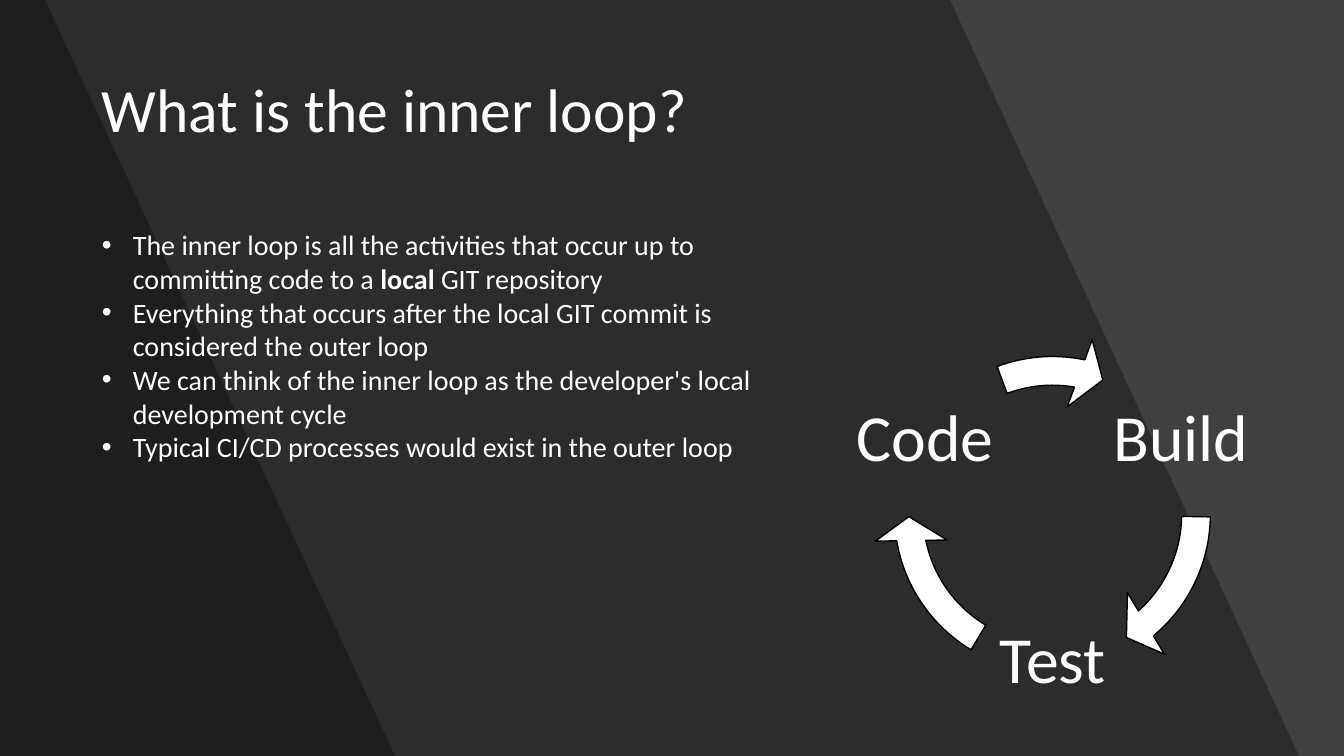
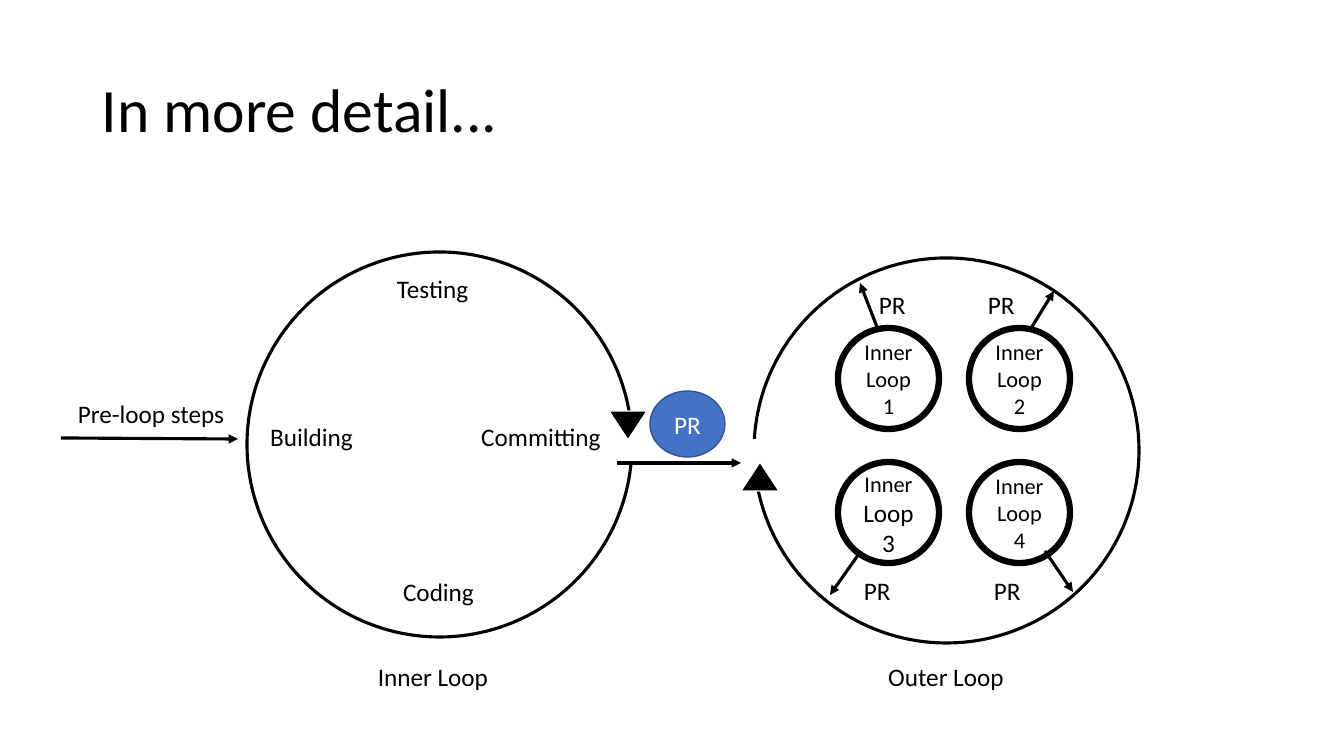
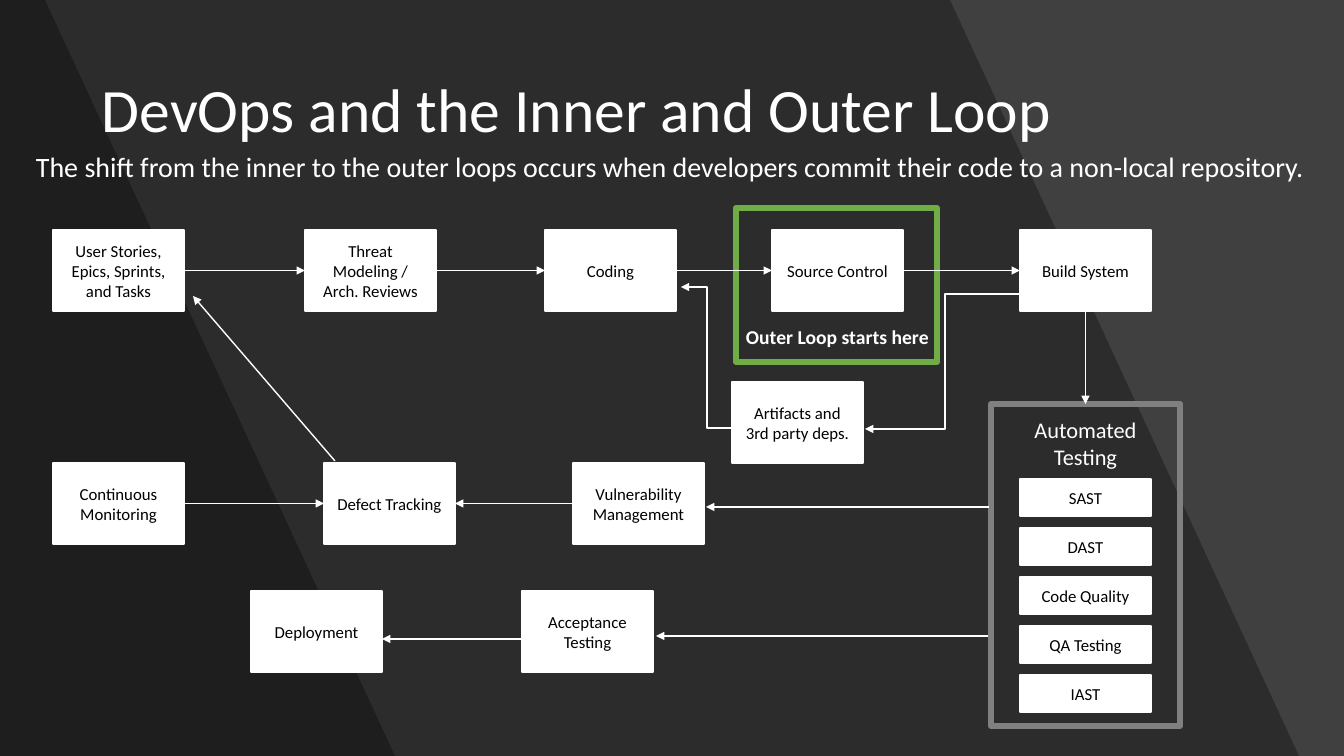
from lxml import etree
from pptx import Presentation
from pptx import util as u
from pptx.dml.color import RGBColor
from pptx.enum import shapes, text
from pptx.oxml import ns

WHITE = RGBColor(0xFF, 0xFF, 0xFF)
BLACK = RGBColor(0, 0, 0)
DARK = RGBColor(0x40, 0x40, 0x40)
GRAY = RGBColor(0x80, 0x80, 0x80)
GREEN = RGBColor(0x70, 0xAD, 0x47)
BLUE = RGBColor(0x44, 0x72, 0xC4)
NAVY = RGBColor(0x32, 0x54, 0x91)

FONT = "Calibri"
WIDE, HIGH = 1344, 756
SCALE = 12192000 / WIDE
KIND = shapes.MSO_SHAPE
LINK = shapes.MSO_CONNECTOR
MID = text.MSO_ANCHOR.MIDDLE
LEFT, CENTER = text.PP_ALIGN.LEFT, text.PP_ALIGN.CENTER
TOP_SIDE, LEFT_SIDE, BOTTOM_SIDE, RIGHT_SIDE = range(4)


def px(*nums):
    return [u.Emu(round(n * SCALE)) for n in nums]


def add_xml(parent, tag, **attrs):
    return etree.SubElement(parent, ns.qn(tag), attrs)


def style(para, size, color, align=LEFT, bold=None, gap=None):
    para.alignment = align
    if gap:
        para.line_spacing = gap
    font = para.font
    font.name, font.size, font.bold = FONT, u.Pt(size), bold
    font.color.rgb = color


def label(slide, box, words, size=18, color=BLACK, align=CENTER,
          bold=None, gap=None, anchor=text.MSO_ANCHOR.TOP):
    frame = slide.shapes.add_textbox(*px(*box)).text_frame
    frame.word_wrap = True
    frame.vertical_anchor = anchor
    frame.text = words
    style(frame.paragraphs[0], size, color, align, bold, gap)
    return frame


def bullets(slide, box, items, size, color):
    """Write a bulleted list; words between bars are bold."""
    frame = label(slide, box, "")
    for i, item in enumerate(items):
        para = frame.add_paragraph() if i else frame.paragraphs[0]
        for j, part in enumerate(item.split("|")):
            run = para.add_run()
            run.text = part
            if j % 2:
                run.font.bold = True
        prop = para._p.get_or_add_pPr()
        for old in list(prop):
            prop.remove(old)
        indent = px(31)[0]
        prop.set("marL", str(indent))
        prop.set("indent", str(-indent))
        add_xml(prop, "a:buFont", typeface="Arial")
        add_xml(prop, "a:buChar", char="•")
        style(para, size, color)


def figure(slide, kind, box, fill=None, line=WHITE, width=1.0):
    shape = slide.shapes.add_shape(kind, *px(*box))
    shape.shadow.inherit = False
    if fill is None:
        shape.fill.background()
    else:
        shape.fill.solid()
        shape.fill.fore_color.rgb = fill
    shape.line.color.rgb = line
    shape.line.width = u.Pt(width)
    return shape


def write(shape, words, size, color=BLACK):
    frame = shape.text_frame
    frame.text = words
    frame.vertical_anchor = MID
    style(frame.paragraphs[0], size, color, CENTER)


def node(slide, x, y, words, w=131, h=81):
    shape = figure(slide, KIND.RECTANGLE, (x, y, w, h), WHITE)
    write(shape, words, 12)
    return shape


def arrow(slide, start, end, color, width, kind=LINK.STRAIGHT):
    line = slide.shapes.add_connector(kind, *px(*start, *end))
    line.line.color.rgb = color
    line.line.width = u.Pt(width)
    add_xml(line.line._get_or_add_ln(), "a:tailEnd", type="triangle")
    add_xml(line._element.spPr, "a:effectLst")
    return line


def join(slide, first, side, last, end):
    line = arrow(slide, (0, 0), (0, 0), WHITE, 1)
    line.begin_connect(first, side)
    line.end_connect(last, end)


def band(slide, top, foot):
    """Draw a slanted shade from the left edge, given its right ends."""
    maker = slide.shapes.build_freeform(0, 0, SCALE)
    maker.add_line_segments([(top, 0), (foot, HIGH), (0, HIGH)])
    shape = maker.convert_to_shape()
    shape.shadow.inherit = False
    shape.fill.solid()
    shape.fill.fore_color.rgb = BLACK
    tint = shape._element.spPr.find(".//" + ns.qn("a:srgbClr"))
    add_xml(tint, "a:alpha", val="30000")
    shape.line.fill.background()


def start(deck, title, dark):
    slide = deck.slides.add_slide(deck.slide_layouts[6])
    fill = slide.background.fill
    fill.solid()
    fill.fore_color.rgb = DARK if dark else WHITE
    if dark:
        band(slide, 950, 1299)
        band(slide, 45, 395)
    label(slide, (92, 40, 1160, 146), title, 44, WHITE if dark else BLACK,
          LEFT, gap=0.9, anchor=MID)
    return slide


def intro(deck):
    slide = start(deck, "What is the inner loop?", True)
    bullets(slide, (92, 223, 709, 458), [
        "The inner loop is all the activities that occur up to committing "
        "code to a |local |GIT repository",
        "Everything that occurs after the local GIT commit is considered "
        "the outer loop",
        "We can think of the inner loop as the developer's local "
        "development cycle",
        "Typical CI/CD processes would exist in the outer loop",
    ], 20, WHITE)
    for words, x, y, head, tail in [
        ("Build", 1105, 364, 29.62, 0.53),
        ("Test", 977, 586, 101.7, 72.62),
        ("Code", 849, 364, 168.55, 149.69),
    ]:
        frame = label(slide, (x, y, 152, 152), words, 47, WHITE,
                      gap=0.9, anchor=MID)
        frame.margin_left = frame.margin_right = px(7)[0]
        frame.margin_top = frame.margin_bottom = px(7)[0]
        turn = figure(slide, KIND.CIRCULAR_ARROW, (873, 335, 359, 359),
                      WHITE, BLACK)
        for i, value in enumerate((0.08, 5.77, head, tail, 0.1)):
            turn.adjustments[i] = value


def ring(slide, x, y, gate, tip, turn):
    """Draw a big loop with a gap and an arrowhead at the gap."""
    figure(slide, KIND.OVAL, (x, y, 385, 385), None, BLACK, 2.25)
    figure(slide, KIND.RECTANGLE, gate, WHITE)
    head = figure(slide, KIND.ISOSCELES_TRIANGLE, (*tip, 38, 29), BLACK)
    head.rotation = turn


def detail(deck):
    slide = start(deck, "In more detail...", False)
    ring(slide, 247, 252, (587, 426, 101, 36), (609, 411), 180)
    ring(slide, 754, 258, (753, 440, 100, 45), (741, 462), 0)
    for words, x, y, w in [
        ("Inner Loop", 282, 656, 302), ("Outer Loop", 795, 656, 302),
        ("Coding", 383, 571, 111), ("Building", 256, 416, 111),
        ("Testing", 377, 268, 111), ("Committing", 470, 416, 142),
    ]:
        label(slide, (x, y, w, 40), words)
    label(slide, (68, 393, 170, 40), "Pre-loop steps", align=LEFT)

    commit = figure(slide, KIND.OVAL, (650, 391, 75, 66), BLUE, NAVY)
    write(commit, "PR", 18, WHITE)
    for i in range(4):
        row, col = divmod(i, 2)
        loop = figure(slide, KIND.OVAL,
                      (838 + 131 * col, 328 + 134 * row, 101, 101),
                      WHITE, BLACK, 4.5)
        if i == 2:
            write(loop, "Inner", 16)
            run = loop.text_frame.paragraphs[0].add_run()
            run.text = " Loop 3"
            run.font.size = u.Pt(18)
        else:
            write(loop, f"Inner Loop {i + 1}", 16)

    for tail, head in [
        ((61, 438), (238, 439)), ((617, 463), (741, 463)),
        ((1045, 551), (1073, 592)), ((861, 551), (830, 595)),
        ((877, 327), (860, 283)), ((1030, 330), (1054, 291)),
    ]:
        arrow(slide, tail, head, BLACK, 2.25)
    for x, y in [(869, 284), (978, 284), (854, 570), (984, 570)]:
        label(slide, (x, y, 56, 40), "PR", align=LEFT)


def flow(deck):
    slide = start(deck, "DevOps and the Inner and Outer Loop", True)
    label(slide, (26, 148, 1317, 45),
          "The shift from the inner to the outer loops occurs when "
          "developers commit their code to a non-local repository.",
          20, WHITE, LEFT, gap=0.9)

    steps = [node(slide, x, 230, words) for x, words in [
        (53, "User Stories, Epics, Sprints, and Tasks"),
        (305, "Threat Modeling / Arch. Reviews"),
        (545, "Coding"), (772, "Source Control"), (1020, "Build System"),
    ]]
    node(slide, 732, 382, "Artifacts and 3rd party deps.")
    watch = node(slide, 53, 463, "Continuous Monitoring")
    defect = node(slide, 324, 463, "Defect Tracking")
    vuln = node(slide, 573, 463, "Vulnerability Management")
    node(slide, 251, 591, "Deployment")
    node(slide, 522, 591, "Acceptance Testing")

    figure(slide, KIND.RECTANGLE, (736, 208, 201, 154), None, GREEN, 4.5)
    label(slide, (736, 320, 217, 34), "Outer Loop starts here", 14, WHITE,
          LEFT, True)
    tests = figure(slide, KIND.RECTANGLE, (991, 404, 189, 322),
                   None, GRAY, 4.5)
    label(slide, (1004, 411, 163, 65), "Automated Testing", 16, WHITE)
    for i, words in enumerate(
            ["SAST", "DAST", "Code Quality", "QA Testing", "IAST"]):
        node(slide, 1020, 479 + 49 * i, words, h=37)

    for first, last in zip(steps, steps[1:]):
        join(slide, first, RIGHT_SIDE, last, LEFT_SIDE)
    join(slide, steps[-1], BOTTOM_SIDE, tests, TOP_SIDE)
    join(slide, watch, RIGHT_SIDE, defect, LEFT_SIDE)
    join(slide, vuln, LEFT_SIDE, defect, RIGHT_SIDE)
    for tail, head, kind in [
        ((989, 507), (706, 507), LINK.STRAIGHT),
        ((988, 636), (656, 636), LINK.STRAIGHT),
        ((523, 639), (382, 639), LINK.STRAIGHT),
        ((335, 461), (193, 296), LINK.STRAIGHT),
        ((1025, 294), (865, 429), LINK.ELBOW),
        ((733, 428), (681, 287), LINK.ELBOW),
    ]:
        arrow(slide, tail, head, WHITE, 1, kind)


def main():
    deck = Presentation()
    deck.slide_width, deck.slide_height = px(WIDE, HIGH)
    intro(deck)
    detail(deck)
    flow(deck)
    deck.save("out.pptx")


if __name__ == "__main__":
    main()
